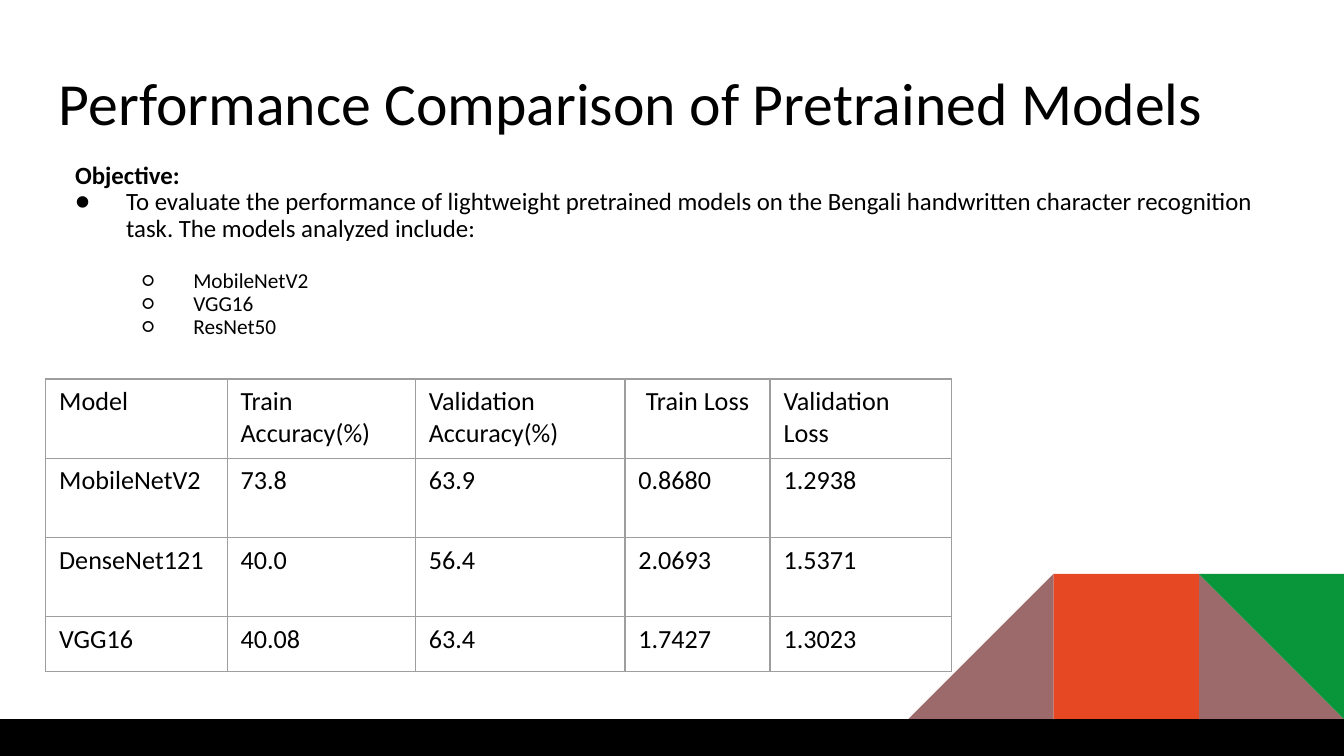
from typing import NamedTuple

from lxml.etree import SubElement
from pptx import Presentation
from pptx.dml.color import RGBColor
from pptx.enum.shapes import MSO_SHAPE
from pptx.enum.text import PP_ALIGN
from pptx.oxml.ns import qn
from pptx.slide import Slide
from pptx.util import Inches, Pt

FONT = "Calibri"
BLACK = RGBColor(0x00, 0x00, 0x00)
MAUVE = RGBColor(0x9C, 0x6A, 0x6A)
ORANGE = RGBColor(0xE6, 0x48, 0x23)
GREEN = RGBColor(0x09, 0x96, 0x3B)
GRID_GRAY = RGBColor(0x9E, 0x9E, 0x9E)

SLIDE_WIDTH = 10
SLIDE_HEIGHT = SLIDE_WIDTH * 9 / 16
MARGIN = 0.34
TILE = 1.08
TILE_TOP = 4.27
FLOOR_TOP = TILE_TOP + TILE


class Block(NamedTuple):
    kind: MSO_SHAPE
    left: float
    top: float
    width: float
    height: float
    color: RGBColor
    rotation: int = 0
    flipped: bool = False


class Line(NamedTuple):
    text: str
    size: float
    bold: bool = False
    bullet: str = ""
    indent: float = 0
    hanging: float = 0
    space_before: float = 0


def tile(kind: MSO_SHAPE, steps_from_right: int, color: RGBColor,
         rotation: int = 0, flipped: bool = False) -> Block:
    left = SLIDE_WIDTH - steps_from_right * TILE
    return Block(kind, left, TILE_TOP, TILE, TILE, color, rotation, flipped)


DECORATION = [
    tile(MSO_SHAPE.RIGHT_TRIANGLE, 1, MAUVE),
    tile(MSO_SHAPE.RIGHT_TRIANGLE, 3, MAUVE, flipped=True),
    tile(MSO_SHAPE.RECTANGLE, 2, ORANGE),
    tile(MSO_SHAPE.RIGHT_TRIANGLE, 1, GREEN, rotation=180),
    Block(MSO_SHAPE.RECTANGLE, 0, FLOOR_TOP, SLIDE_WIDTH,
          SLIDE_HEIGHT - FLOOR_TOP, BLACK),
]

TITLE = [Line("Performance Comparison of Pretrained Models", 32)]
OBJECTIVE = [
    Line("Objective:", 13.3, bold=True, indent=0.12),
    Line("To evaluate the performance of lightweight pretrained models on the "
         "Bengali handwritten character recognition task. The models analyzed "
         "include:", 13.3, bullet="●", indent=0.5, hanging=0.38),
] + [
    Line(model, 11.4, bullet="○", indent=1, hanging=0.38, space_before=gap)
    for model, gap in (("MobileNetV2", 14.6), ("VGG16", 0), ("ResNet50", 0))
]

RESULTS = [
    ["Model", "Train Accuracy(%)", "Validation Accuracy(%)", "Train Loss",
     "Validation Loss"],
    ["MobileNetV2", "73.8", "63.9", "0.8680", "1.2938"],
    ["DenseNet121", "40.0", "56.4", "2.0693", "1.5371"],
    ["VGG16", "40.08", "63.4", "1.7427", "1.3023"],
]
COLUMN_WIDTHS = [1.35, 1.4, 1.56, 1.08, 1.35]
ROW_HEIGHTS = [0.59, 0.59, 0.59, 0.41]


def draw_block(slide: Slide, block: Block) -> None:
    shape = slide.shapes.add_shape(
        block.kind, Inches(block.left), Inches(block.top),
        Inches(block.width), Inches(block.height))
    shape.shadow.inherit = False
    shape.fill.solid()
    shape.fill.fore_color.rgb = block.color
    shape.line.fill.background()
    shape.rotation = block.rotation
    if block.flipped:
        shape._element.spPr.find(qn("a:xfrm")).set("flipH", "1")


def format_runs(paragraph, size: float, bold: bool = False) -> None:
    for run in paragraph.runs:
        run.font.name = FONT
        run.font.size = Pt(size)
        run.font.bold = bold
        run.font.color.rgb = BLACK


def draw_text(slide: Slide, lines: list[Line], top: float, height: float) -> None:
    box = slide.shapes.add_textbox(Inches(MARGIN), Inches(top),
                                   Inches(SLIDE_WIDTH - 2 * MARGIN), Inches(height))
    frame = box.text_frame
    frame.word_wrap = True
    frame.margin_left = frame.margin_right = Inches(0.1)
    frame.margin_top = frame.margin_bottom = Inches(0.1)
    frame.text = "\n".join(line.text for line in lines)
    for paragraph, line in zip(frame.paragraphs, lines):
        paragraph.line_spacing = 0.9
        paragraph.space_before = Pt(line.space_before)
        format_runs(paragraph, line.size, line.bold)
        properties = paragraph._p.get_or_add_pPr()
        properties.set("marL", str(Inches(line.indent)))
        properties.set("indent", str(-Inches(line.hanging)))
        if line.bullet:
            SubElement(properties, qn("a:buFont"), typeface=FONT)
            SubElement(properties, qn("a:buChar"), char=line.bullet)


def add_borders(cell) -> None:
    properties = cell._tc.get_or_add_tcPr()
    for side in ("a:lnL", "a:lnR", "a:lnT", "a:lnB"):
        border = SubElement(properties, qn(side), w=str(Pt(0.75)))
        fill = SubElement(border, qn("a:solidFill"))
        SubElement(fill, qn("a:srgbClr"), val=str(GRID_GRAY))


def draw_results(slide: Slide) -> None:
    table = slide.shapes.add_table(
        len(RESULTS), len(COLUMN_WIDTHS), Inches(MARGIN), Inches(2.82),
        Inches(sum(COLUMN_WIDTHS)), Inches(sum(ROW_HEIGHTS))).table
    table.first_row = False
    table.horz_banding = False
    for column, width in zip(table.columns, COLUMN_WIDTHS):
        column.width = Inches(width)
    for row, height, values in zip(table.rows, ROW_HEIGHTS, RESULTS):
        row.height = Inches(height)
        for cell, value in zip(row.cells, values):
            cell.text_frame.text = value
            format_runs(cell.text_frame.paragraphs[0], 14)
            add_borders(cell)
            cell.fill.background()
    train_loss = table.cell(0, RESULTS[0].index("Train Loss"))
    train_loss.text_frame.paragraphs[0].alignment = PP_ALIGN.CENTER


def main() -> None:
    presentation = Presentation()
    presentation.slide_width = Inches(SLIDE_WIDTH)
    presentation.slide_height = Inches(SLIDE_HEIGHT)
    slide = presentation.slides.add_slide(presentation.slide_layouts[6])
    for block in DECORATION:
        draw_block(slide, block)
    draw_text(slide, TITLE, 0.45, 0.66)
    draw_text(slide, OBJECTIVE, 1.11, 1.52)
    draw_results(slide)
    presentation.save("out.pptx")


if __name__ == "__main__":
    main()
